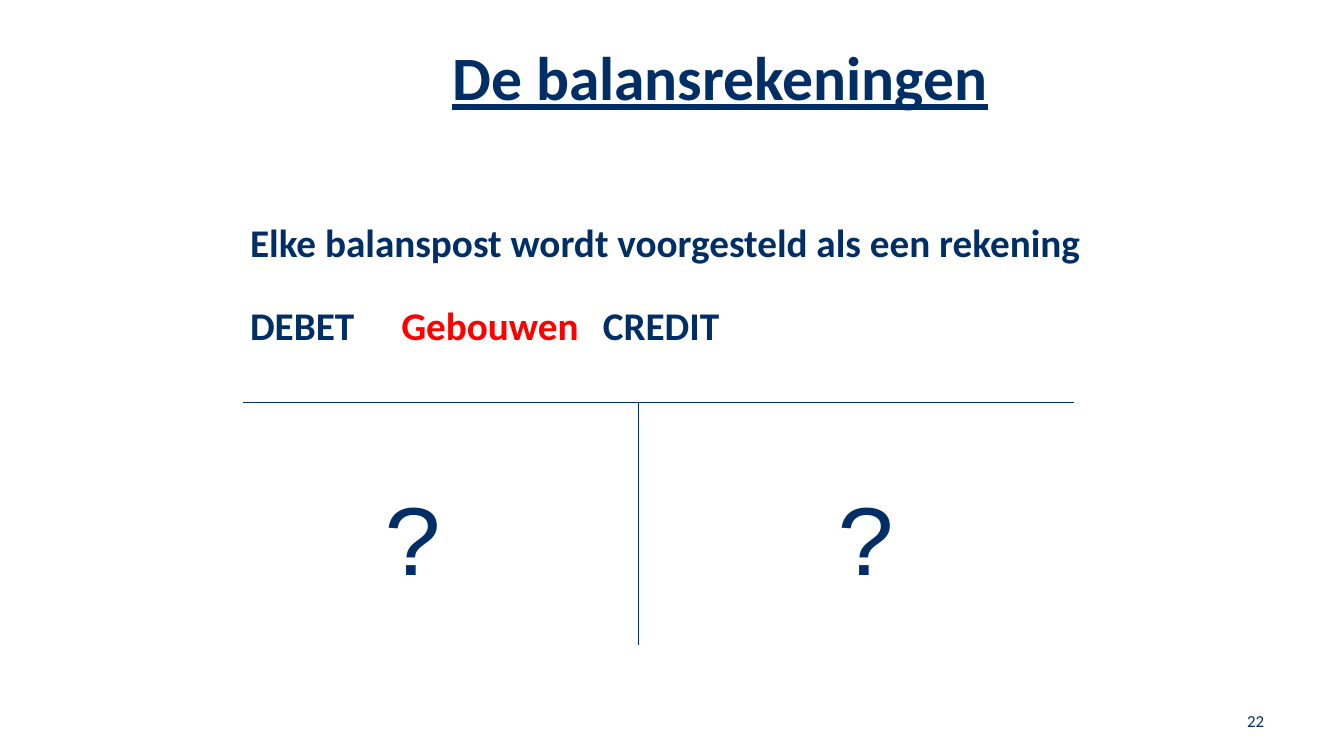
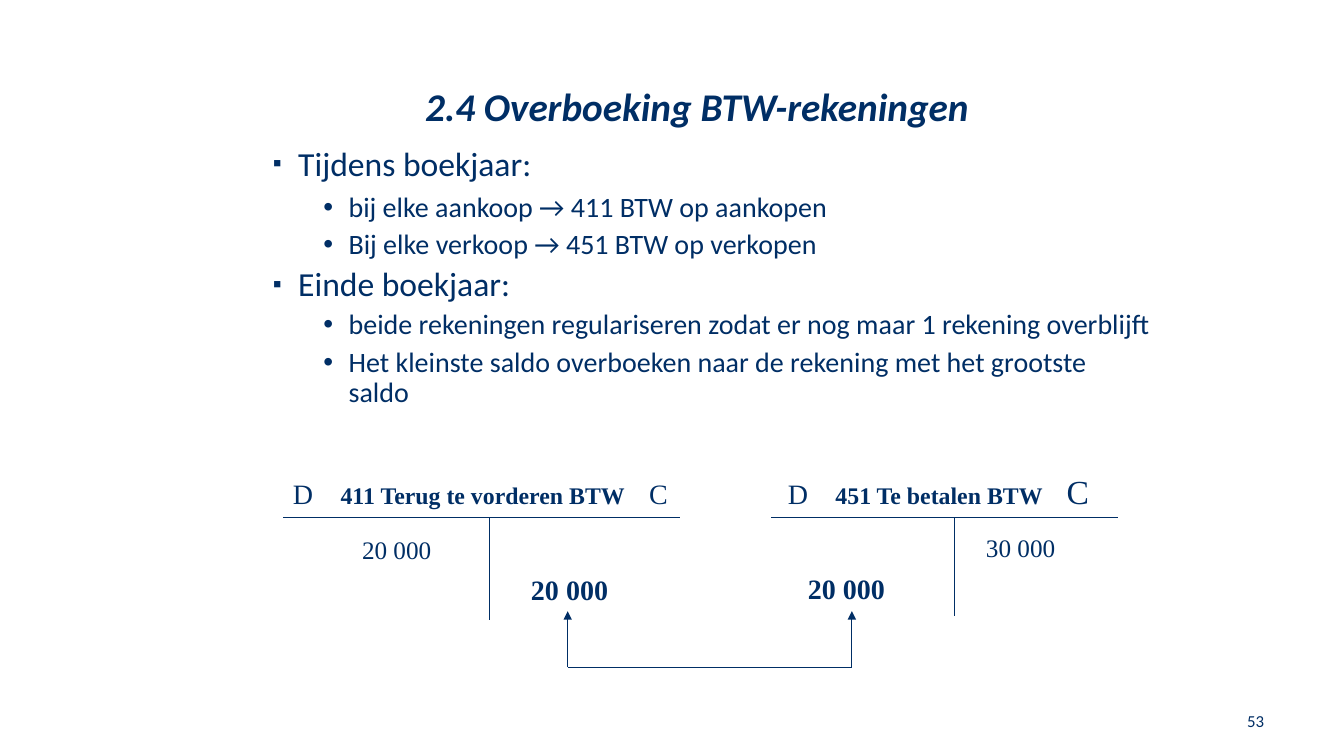
from lxml.etree import SubElement as Sub
from pptx import Presentation as Deck
from pptx.dml.color import RGBColor as Rgb
from pptx.enum.shapes import MSO_CONNECTOR as Conn
from pptx.enum.text import MSO_ANCHOR as Anchor, MSO_AUTO_SIZE as Auto, PP_ALIGN as Align
from pptx.oxml.ns import qn
from pptx.util import Pt

NAVY, RED = "002E65", "FF0000"
SANS, SERIF, MONO = "Calibri", "Times New Roman", "Courier New"
BULLETS = [("▪", 54, 24, 75), ("•", 90, 20, 100)]


def paint(color, code):
    """Set a colour from a hex string."""
    color.rgb = Rgb.from_string(code)


def place(shape, x, y, w, h):
    """Move and size a shape in points."""
    shape.left, shape.top, shape.width, shape.height = Pt(x), Pt(y), Pt(w), Pt(h)


def frame(shape, anchor=Anchor.TOP):
    """Return the text frame of a shape, wrapped and without margins."""
    text = shape.text_frame
    text.word_wrap = True
    text.auto_size = Auto.NONE
    text.vertical_anchor = anchor
    text.margin_left = text.margin_right = text.margin_top = text.margin_bottom = 0
    return text


def write(para, text, size, face=SANS, code=NAVY, bold=False, ital=False, under=False):
    """Add one formatted run to a paragraph."""
    run = para.add_run()
    run.text = text
    font = run.font
    font.name, font.size = face, Pt(size)
    font.bold, font.italic, font.underline = bold, ital, under
    paint(font.color, code)


def space(para, before=0, line=0.9):
    """Set the spacing of a paragraph."""
    para.line_spacing = line
    para.space_before = Pt(before)


def tabs(para, stops):
    """Add left tab stops to a paragraph."""
    group = Sub(para._p.get_or_add_pPr(), qn("a:tabLst"))
    for stop in stops:
        Sub(group, qn("a:tab"), pos=str(Pt(stop)), algn="l")


def plain(para):
    """Take the bullet and indent off a paragraph."""
    props = para._p.get_or_add_pPr()
    props.set("marL", "0")
    props.set("indent", "0")
    Sub(props, qn("a:buNone"))


def bullet(para, level):
    """Give a paragraph the bullet of its level."""
    mark, left, _, scale = BULLETS[level]
    para.level = level
    props = para._p.get_or_add_pPr()
    props.set("marL", str(Pt(left)))
    props.set("indent", str(Pt(-18)))
    Sub(Sub(props, qn("a:buClr")), qn("a:srgbClr"), val=NAVY)
    Sub(props, qn("a:buSzPct"), val=str(scale * 1000))
    Sub(props, qn("a:buFont"), typeface="Arial")
    Sub(props, qn("a:buChar"), char=mark)


def label(slide, box, text, size, align=Align.LEFT, anchor=Anchor.TOP, **style):
    """Add a text box with a single run."""
    shape = slide.shapes.add_textbox(*map(Pt, box))
    para = frame(shape, anchor).paragraphs[0]
    para.alignment = align
    write(para, text, size, **style)


def rule(slide, x1, y1, x2, y2, arrow=False):
    """Draw a thin line, with an arrowhead at its end if asked."""
    line = slide.shapes.add_connector(Conn.STRAIGHT, Pt(x1), Pt(y1), Pt(x2), Pt(y2))
    paint(line.line.color, NAVY)
    line.line.width = Pt(0.75)
    if arrow:
        Sub(line.line._get_or_add_ln(), qn("a:tailEnd"), type="triangle")
    Sub(line._element.spPr, qn("a:effectLst"))


def tee(slide, x, y, w, stem, h):
    """Draw the T of an account."""
    rule(slide, x, y, x + w, y)
    rule(slide, x + stem, y, x + stem, y + h)


def ledger(slide, box, stem, lead, name, end, size, sums):
    """Draw a named account with its amounts."""
    x, y, w, h = box
    tee(slide, x, y, w, stem, h)
    head = slide.shapes.add_textbox(Pt(x + lead), Pt(y - 35), Pt(w), Pt(30))
    para = frame(head, Anchor.BOTTOM).paragraphs[0]
    tabs(para, (34, end))
    write(para, "D", 20, SERIF)
    write(para, "\t" + name, 17, SERIF, bold=True)
    write(para, "\tC", size, SERIF)
    for dx, dy, text, big in sums:
        label(slide, (x + dx, y + dy, 80, 24), text, 20 if big else 18, face=SERIF, bold=big)


def bridge(slide, x, y, w, h):
    """Join two amounts by a bracket with arrows up."""
    rule(slide, x, y, x + w, y)
    for side in (x, x + w):
        rule(slide, side, y, side, y - h, True)


def start(deck, box, title, page, size, align, **style):
    """Add a slide with its title and page number."""
    slide = deck.slides.add_slide(deck.slide_layouts[1])
    place(slide.shapes.title, *box)
    para = frame(slide.shapes.title).paragraphs[0]
    para.alignment = align
    space(para)
    write(para, title, size, bold=True, **style)
    label(slide, (694, 500.4, 209, 28.8), page, 12, Align.RIGHT, Anchor.MIDDLE)
    return slide


def intro(deck):
    """Build the slide on balance sheet accounts."""
    slide = start(deck, (196, 34, 637, 82), "De balansrekeningen", "22", 44, Align.CENTER, under=True)
    body = slide.placeholders[1]
    place(body, 178.6, 160, 634, 110)
    text = frame(body)
    para = text.paragraphs[0]
    space(para)
    plain(para)
    write(para, "Elke balanspost wordt voorgesteld als een rekening", 28, bold=True)
    para = text.add_paragraph()
    space(para, 29)
    plain(para)
    tabs(para, (181.4, 404.3))
    for part, code in (("DEBET", NAVY), ("\tGebouwen", RED), ("\tCREDIT", NAVY)):
        write(para, part, 28, code=code, bold=True)
    tee(slide, 173.5, 287.3, 594, 282.3, 173.5)
    for x in (257, 581):
        label(slide, (x, 339, 78, 84), "?", 72, Align.CENTER, face=MONO)


def transfer(deck):
    """Build the slide on transferring the VAT accounts."""
    slide = start(deck, (303.6, 62.5, 460, 34), "2.4 Overboeking BTW-rekeningen", "53", 28,
                  Align.LEFT, ital=True)
    body = slide.placeholders[1]
    place(body, 159, 105, 664, 205)
    text = frame(body)
    items = [
        (0, 0, "Tijdens boekjaar:"),
        (1, 7, "bij elke aankoop → 411 BTW op aankopen"),
        (1, 5, "Bij elke verkoop → 451 BTW op verkopen"),
        (0, 5, "Einde boekjaar:"),
        (1, 5, "beide rekeningen regulariseren zodat er nog maar 1 rekening overblijft"),
        (1, 5, "Het kleinste saldo overboeken naar de rekening met het grootste saldo"),
    ]
    for rank, (level, gap, line) in enumerate(items):
        para = text.add_paragraph() if rank else text.paragraphs[0]
        space(para, gap)
        bullet(para, level)
        write(para, line, BULLETS[level][2])
    ledger(slide, (202.3, 369.4, 283.7, 73.4), 147.6, 7, "411 Terug te vorderen BTW", 254.3, 20,
           [(56.3, 12, "20 000", False), (177, 39.5, "20 000", True)])
    ledger(slide, (550.8, 370, 247.7, 70), 131, 12, "451 Te betalen BTW", 199.2, 24,
           [(153.5, 10, "30 000", False), (26.3, 38.3, "20 000", True)])
    bridge(slide, 405.5, 476.6, 203, 40)


def main():
    """Build and save the deck."""
    deck = Deck()
    deck.slide_width, deck.slide_height = Pt(960), Pt(540)
    intro(deck)
    transfer(deck)
    deck.save("out.pptx")


if __name__ == "__main__":
    main()
